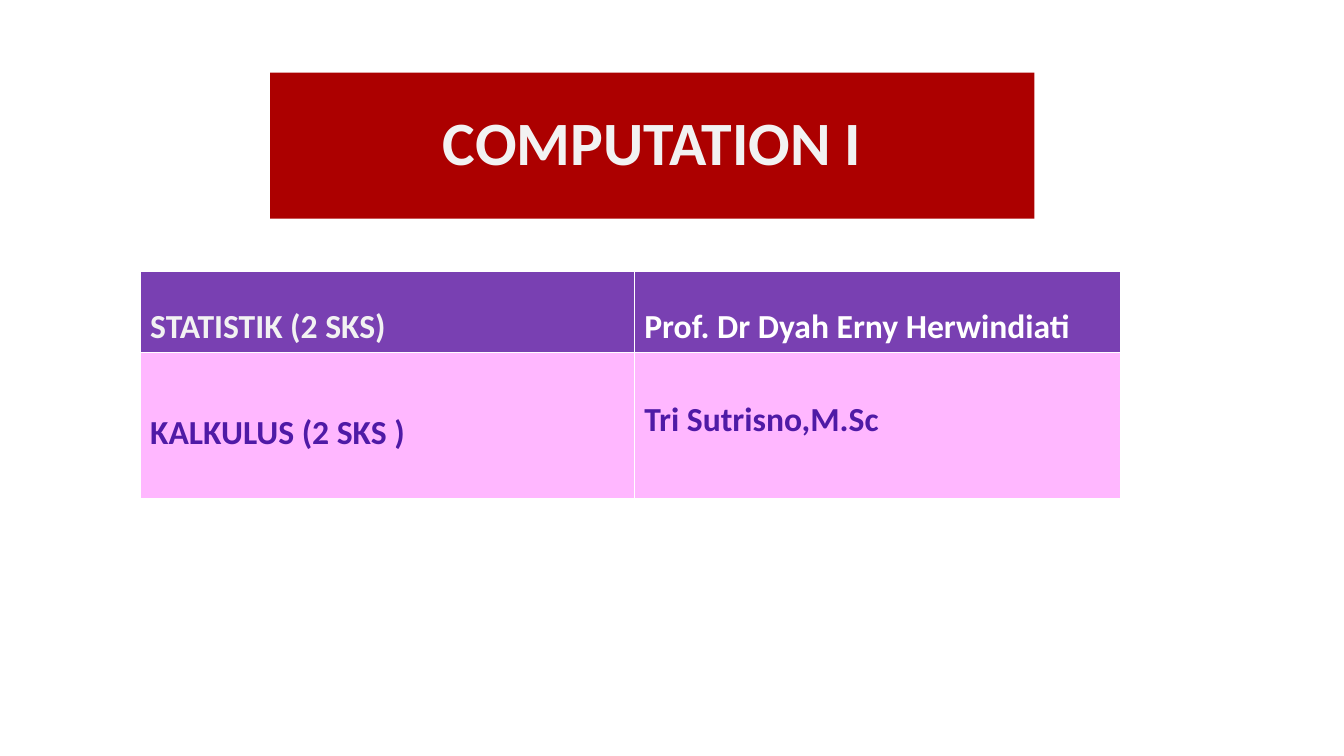
from pptx import Presentation
from pptx.dml.color import RGBColor
from pptx.enum.text import MSO_ANCHOR, MSO_AUTO_SIZE, PP_ALIGN
from pptx.util import Inches, Pt

RED = RGBColor(0xAC, 0x00, 0x00)
PURPLE = RGBColor(0x79, 0x40, 0xB2)
PINK = RGBColor(0xFF, 0xB7, 0xFF)
INDIGO = RGBColor(0x4F, 0x1A, 0xA6)
PALE = RGBColor(0xF2, 0xF2, 0xF2)
WHITE = RGBColor(0xFF, 0xFF, 0xFF)

COLUMN_WIDTHS = (4.9, 4.82)
ROW_HEIGHTS = (0.81, 1.45)
COURSES = (
    (PURPLE, (("STATISTIK (2 SKS)", PALE, 0.35),
              ("Prof. Dr Dyah Erny Herwindiati", WHITE, 0.35))),
    (PINK, (("KALKULUS (2 SKS )", INDIGO, 0.59),
            ("Tri Sutrisno,M.Sc", INDIGO, 0.46))),
)


def write_text(frame, text, *, size, color, align=PP_ALIGN.LEFT, spacing=1.0):
    """Fill a text frame with one bold formatted paragraph."""
    paragraph = frame.paragraphs[0]
    paragraph.alignment = align
    paragraph.line_spacing = spacing
    run = paragraph.add_run()
    run.text = text
    run.font.name = "Calibri"
    run.font.size = Pt(size)
    run.font.bold = True
    run.font.color.rgb = color


def format_title(slide):
    """Place the title as a red banner."""
    title = slide.shapes.title
    title.left, title.top = Inches(2.68), Inches(0.72)
    title.width, title.height = Inches(7.58), Inches(1.45)
    title.fill.solid()
    title.fill.fore_color.rgb = RED
    frame = title.text_frame
    frame.auto_size = MSO_AUTO_SIZE.NONE
    frame.vertical_anchor = MSO_ANCHOR.MIDDLE
    write_text(frame, "COMPUTATION I", size=44, color=PALE,
               align=PP_ALIGN.CENTER, spacing=0.9)


def add_course_table(slide):
    """Add the table of courses and lecturers."""
    table = slide.shapes.add_table(
        len(ROW_HEIGHTS), len(COLUMN_WIDTHS), Inches(1.39), Inches(2.69),
        Inches(sum(COLUMN_WIDTHS)), Inches(sum(ROW_HEIGHTS))).table
    for column, width in zip(table.columns, COLUMN_WIDTHS):
        column.width = Inches(width)
    for row, height, (fill, entries) in zip(table.rows, ROW_HEIGHTS, COURSES):
        row.height = Inches(height)
        for cell, (text, color, top_margin) in zip(row.cells, entries):
            cell.fill.solid()
            cell.fill.fore_color.rgb = fill
            cell.margin_top = Inches(top_margin)
            cell.vertical_anchor = MSO_ANCHOR.TOP
            write_text(cell.text_frame, text, size=24, color=color)


def main():
    """Build and save the slide."""
    presentation = Presentation()
    presentation.slide_width = Inches(13.33)
    presentation.slide_height = Inches(7.5)
    slide = presentation.slides.add_slide(presentation.slide_layouts[5])
    format_title(slide)
    add_course_table(slide)
    presentation.save("out.pptx")


if __name__ == "__main__":
    main()
